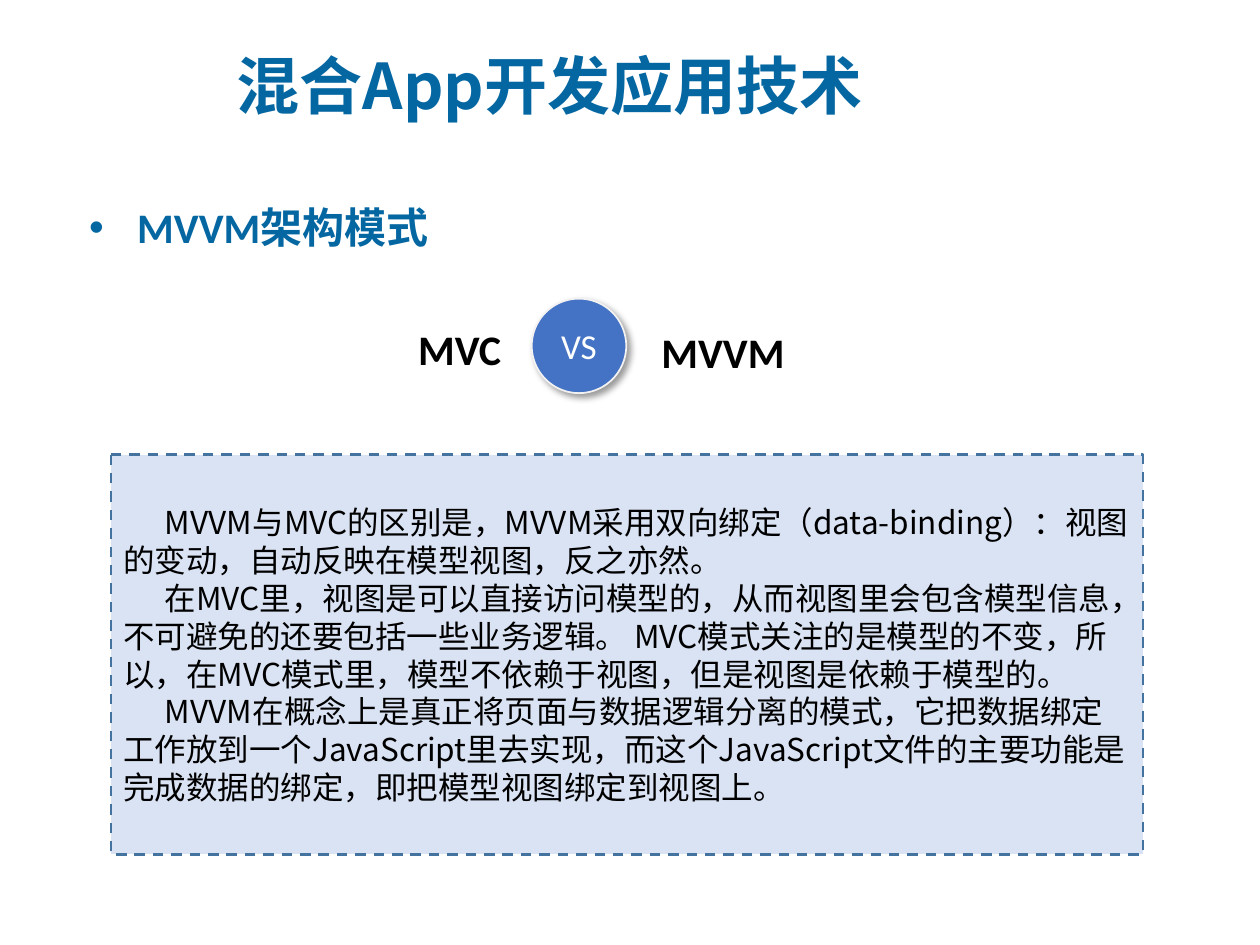
from lxml.etree import SubElement
from pptx import Presentation
from pptx.dml.color import RGBColor
from pptx.enum.dml import MSO_LINE
from pptx.enum.shapes import MSO_SHAPE
from pptx.enum.text import MSO_ANCHOR, PP_ALIGN
from pptx.oxml.ns import qn
from pptx.util import Inches, Pt

CJK = "Noto Sans CJK SC"
BLUE = "0567A2"


def color(value):
    return RGBColor.from_string(value)


def write(shape, lines, size, face, tint, bold=False, wrap=True):
    frame = shape.text_frame
    frame.word_wrap = wrap
    frame.text = "\n".join(lines)
    for para in frame.paragraphs:
        para.alignment = PP_ALIGN.LEFT
        para.font.size = Pt(size)
        para.font.bold = bold
        para.font.name = face
        para.font.color.rgb = color(tint)
        properties = para._p.get_or_add_pPr()
        SubElement(properties.find(qn("a:defRPr")), qn("a:ea"), typeface=CJK)
    return frame


deck = Presentation()
deck.slide_width = Inches(10)
deck.slide_height = Inches(7.5)
page = deck.slides.add_slide(deck.slide_layouts[6])

heading = page.shapes.add_textbox(Inches(0.61), Inches(1.35), Inches(2.92), Inches(0.71))
para = write(heading, ["MVVM架构模式"], 24, "Calibri", BLUE, True).paragraphs[0]
para.line_spacing = 1.5
para.space_before = Pt(4.8)
properties = para._p.get_or_add_pPr()
properties.set("marL", str(Inches(0.38)))
properties.set("indent", str(-Inches(0.38)))
bullet_font = properties.makeelement(qn("a:buFont"), typeface="Arial")
bullet = properties.makeelement(qn("a:buChar"), char="•")
for mark in (bullet_font, bullet):
    properties.find(qn("a:defRPr")).addprevious(mark)

title = page.shapes.add_textbox(Inches(1.78), Inches(0.27), Inches(8.18), Inches(0.79))
frame = write(title, ["混合App开发应用技术"], 36, CJK, BLUE, True)
frame.vertical_anchor = MSO_ANCHOR.MIDDLE

circle = page.shapes.add_shape(MSO_SHAPE.OVAL, Inches(4.22), Inches(2.37), Inches(0.75), Inches(0.75))
circle.fill.solid()
circle.fill.fore_color.rgb = color("4472C4")
circle.line.color.rgb = color("F2F2F2")
circle.line.width = Pt(1)
circle.shadow.inherit = False
effects = circle._element.spPr.find(qn("a:effectLst"))
shadow = SubElement(effects, qn("a:outerShdw"), blurRad=str(Pt(4)), dist=str(Pt(3)),
                    dir="2700000", algn="tl", rotWithShape="0")
shade = SubElement(shadow, qn("a:srgbClr"), val="000000")
SubElement(shade, qn("a:alpha"), val="40000")
frame = write(circle, ["VS"], 20, "Calibri", "FFFFFF", wrap=False)
frame.paragraphs[0].alignment = PP_ALIGN.CENTER
frame.vertical_anchor = MSO_ANCHOR.MIDDLE
frame.margin_left = frame.margin_right = Inches(0.07)
frame.margin_top = frame.margin_bottom = Inches(0.04)

for name, left, top, width in (("MVC", 3.22, 2.52, 0.87), ("MVVM", 5.15, 2.54, 1.19)):
    label = page.shapes.add_textbox(Inches(left), Inches(top), Inches(width), Inches(0.5))
    write(label, [name], 24, "Calibri", "000000", True, wrap=False)

panel = page.shapes.add_shape(MSO_SHAPE.FLOWCHART_PROCESS, Inches(0.88), Inches(3.61),
                              Inches(8.19), Inches(3.17))
panel.shadow.inherit = False
panel.fill.solid()
panel.fill.fore_color.rgb = color("DAE3F3")
panel.line.color.rgb = color("43739E")
panel.line.width = Pt(1.5)
panel.line.dash_style = MSO_LINE.DASH
frame = write(panel, [
    "MVVM与MVC的区别是，MVVM采用双向绑定（data-binding）：视图的变动，自动反映在模型视图，反之亦然。",
    "在MVC里，视图是可以直接访问模型的，从而视图里会包含模型信息，不可避免的还要包括一些业务逻辑。 "
    "MVC模式关注的是模型的不变，所以，在MVC模式里，模型不依赖于视图，但是视图是依赖于模型的。",
    "MVVM在概念上是真正将页面与数据逻辑分离的模式，它把数据绑定工作放到一个JavaScript里去实现，"
    "而这个JavaScript文件的主要功能是完成数据的绑定，即把模型视图绑定到视图上。",
], 18, CJK, "000000")
frame.vertical_anchor = MSO_ANCHOR.MIDDLE
for para in frame.paragraphs:
    para._p.get_or_add_pPr().set("indent", str(Inches(0.33)))

deck.save("out.pptx")
